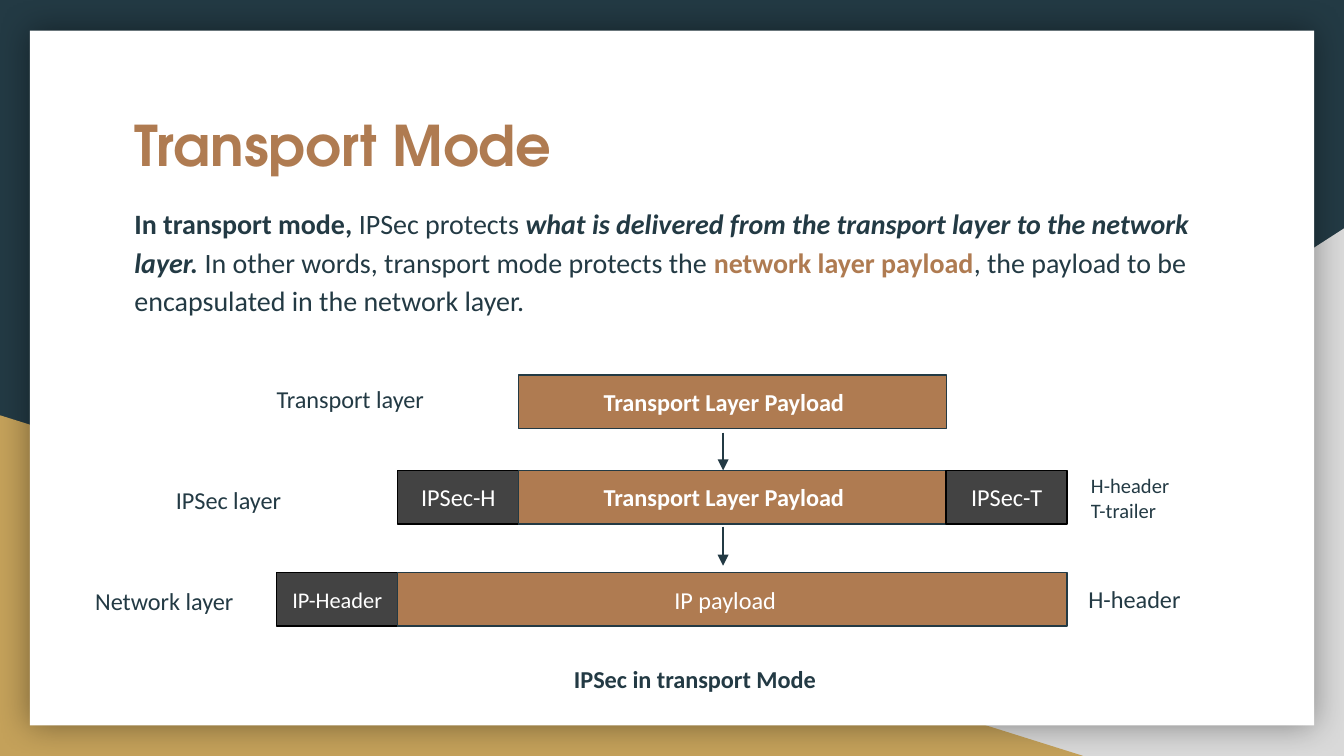
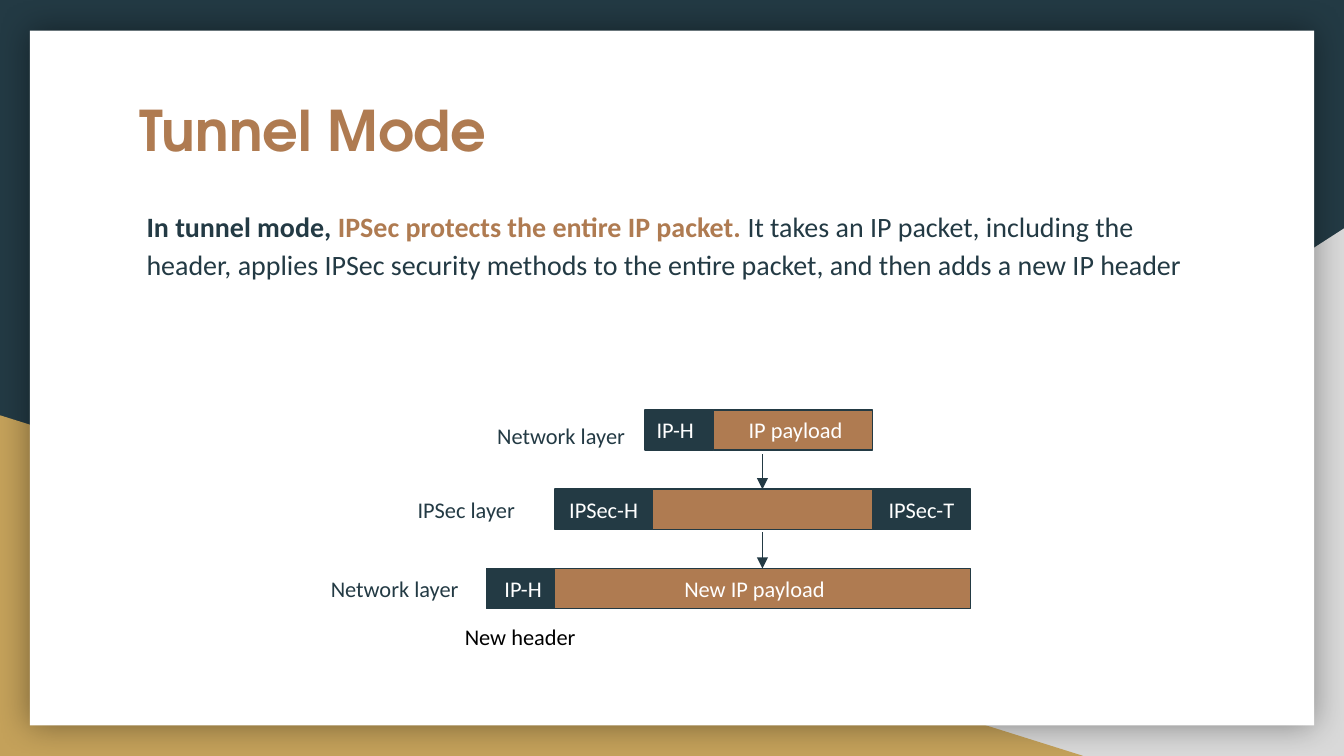
from lxml import etree
from pptx import Presentation
from pptx.dml.color import RGBColor
from pptx.enum.shapes import MSO_CONNECTOR, MSO_SHAPE
from pptx.enum.text import MSO_ANCHOR, MSO_AUTO_SIZE, PP_ALIGN
from pptx.oxml import parse_xml
from pptx.oxml.ns import nsdecls, qn
from pptx.util import Pt

RECTANGLE, TRIANGLE = MSO_SHAPE.RECTANGLE, MSO_SHAPE.RIGHT_TRIANGLE
LEFT, CENTER, RIGHT = PP_ALIGN.LEFT, PP_ALIGN.CENTER, PP_ALIGN.RIGHT
TOP, MIDDLE = MSO_ANCHOR.TOP, MSO_ANCHOR.MIDDLE
STRAIGHT = MSO_CONNECTOR.STRAIGHT
FIXED_SIZE = MSO_AUTO_SIZE.NONE

NAVY, BROWN, GOLD = "233A44", "AF7B51", "C4A15A"
SILVER, CHARCOAL, BLACK, WHITE = "D9D9D9", "434343", "000000", "FFFFFF"
TITLE_FONT, TEXT_FONT = "TeX Gyre Adventor", "Calibri"
INSET = 7.2

BACKDROP = [
    (TRIANGLE, (282.2, 122.4, 437.8, 282.6), SILVER),
    (TRIANGLE, (0, 222.5, 580.3, 182.5), GOLD),
    (RECTANGLE, (16, 16.4, 688, 372.2), WHITE),
]

BAR_STYLES = {
    "transport": (BROWN, NAVY, 13, True),
    "payload": (BROWN, NAVY, 13, False),
    "header": (CHARCOAL, BLACK, 13, False),
    "ip header": (CHARCOAL, BLACK, 12, False),
    "tunnel payload": (BROWN, NAVY, 12, False),
    "tunnel header": (NAVY, NAVY, 12, False),
}

SLIDES = [
    {
        "title": ("Transport Mode", (64.8, 39.6, 591, 75), MIDDLE),
        "body_box": (64.8, 100.8, 591, 79),
        "body": [
            ("In transport mode,", {"bold": True}),
            (" IPSec protects ", {}),
            ("what is delivered from the transport layer to the network layer.",
             {"bold": True, "italic": True}),
            (" In other words, transport mode protects the ", {}),
            ("network layer payload", {"bold": True, "color": BROWN}),
            (", the payload to be encapsulated in the network layer.", {}),
        ],
        "bar_height": 28.8,
        "rows": [
            (277.9, 200.9, [("Transport Layer Payload", 229, "transport", -4.7)]),
            (213.1, 252, [("IPSec-H", 64.8, "header", 0),
                          ("Transport Layer Payload", 229, "transport", -4.7),
                          ("IPSec-T", 64.8, "header", 0)]),
            (148.3, 306.7, [("IP-Header", 64.8, "ip header", 0),
                            ("IP payload", 358.6, "payload", -4)]),
        ],
        "arrows": [(387.4, 231.8, 252, None), (387.4, 282.2, 303.1, None)],
        "label_anchor": TOP,
        "labels": [
            (["Transport layer"], (141.1, 198.7, 100, 30.2), 13, NAVY, LEFT, False),
            (["IPSec layer"], (87.1, 252.7, 100, 30.2), 13, NAVY, LEFT, False),
            (["Network layer"], (43.9, 306.7, 100, 30.2), 13, NAVY, LEFT, False),
            (["H-header", "T-trailer"], (577.4, 246.2, 130, 41), 11, NAVY, LEFT, False),
            (["H-header"], (576, 306, 132, 30.2), 13, NAVY, LEFT, False),
            (["IPSec in transport Mode"], (173.5, 348.5, 397.4, 30.2), 13, NAVY, CENTER, True),
        ],
    },
    {
        "title": ("Tunnel Mode", (67.7, 43.9, 591, 75), TOP),
        "body_box": (71.3, 102.2, 591, 59.8),
        "body": [
            ("In tunnel mode, ", {"bold": True}),
            ("IPSec protects the entire IP packet.", {"bold": True, "color": BROWN}),
            (" It takes an IP packet, including the header, applies IPSec security methods"
             " to the entire packet, and then adds a new IP header", {}),
        ],
        "bar_height": 21.6,
        "rows": [
            (345.6, 219.6, [("IP-H", 36.7, "tunnel header", -2.2),
                            ("IP payload", 85, "tunnel payload", 1.4)]),
            (297.3, 262.1, [("IPSec-H", 52.2, "tunnel header", 0),
                            ("", 118, "tunnel payload", 0),
                            ("IPSec-T", 52.3, "tunnel header", 0)]),
            (260.5, 304.6, [("IP-H", 36.7, "tunnel header", 1.4),
                            ("New IP payload", 222.6, "tunnel payload", -4.3)]),
        ],
        "arrows": [(408.5, 243.4, 262.1, (1, 1)), (408.5, 285.1, 304.6, (2, 1))],
        "label_anchor": MIDDLE,
        "labels": [
            (["Network layer"], (257, 218.9, 85, 28.8), 12, NAVY, RIGHT, False),
            (["IPSec layer"], (198, 258.5, 85, 28.8), 12, NAVY, RIGHT, False),
            (["Network layer"], (167.8, 301, 85, 28.8), 12, NAVY, RIGHT, False),
            (["New header"], (236.2, 330.5, 85, 21.6), 12, BLACK, CENTER, False),
        ],
    },
]


def color(value):
    return RGBColor.from_string(value)


def points(box):
    return [Pt(value) for value in box]


def style_font(font, name, size, value, bold=False):
    font.name, font.size, font.bold = name, Pt(size), bold
    font.color.rgb = color(value)


def set_frame(frame, anchor, horizontal=(INSET, INSET), vertical=INSET):
    frame.word_wrap = True
    frame.auto_size = FIXED_SIZE
    frame.vertical_anchor = anchor
    frame.margin_left, frame.margin_right = points(horizontal)
    frame.margin_top = frame.margin_bottom = Pt(vertical)


def add_filled_shape(slide, kind, box, fill, line=None):
    shape = slide.shapes.add_shape(kind, *points(box))
    shape.shadow.inherit = False
    shape.fill.solid()
    shape.fill.fore_color.rgb = color(fill)
    if line:
        shape.line.color.rgb = color(line)
        shape.line.width = Pt(0.75)
    else:
        shape.line.fill.background()
    return shape


def build_backdrop(presentation, slide):
    master = presentation.slide_master
    master.background.fill.solid()
    master.background.fill.fore_color.rgb = color(NAVY)
    shapes = [add_filled_shape(slide, *part) for part in BACKDROP]
    shapes[0].element.spPr.find(qn("a:xfrm")).set("flipH", "1")
    effects = shapes[-1].element.spPr.find(qn("a:effectLst"))
    effects.append(parse_xml(
        f'<a:outerShdw {nsdecls("a")} blurRad="{Pt(18)}" dist="0" dir="0" rotWithShape="0">'
        f'<a:srgbClr val="{BLACK}"><a:alpha val="40000"/></a:srgbClr></a:outerShdw>'))
    for position, shape in enumerate(shapes, start=2):
        master.shapes.element.insert(position, shape.element)


def place(placeholder, box):
    placeholder.left, placeholder.top, placeholder.width, placeholder.height = points(box)


def write_title(slide, text, box, anchor):
    title = slide.shapes.title
    place(title, box)
    set_frame(title.text_frame, anchor)
    paragraph = title.text_frame.paragraphs[0]
    paragraph.text = text
    paragraph.alignment = LEFT
    style_font(paragraph.font, TITLE_FONT, 30, BROWN, True)


def write_body(slide, box, runs):
    body = slide.placeholders[1]
    place(body, box)
    set_frame(body.text_frame, TOP)
    paragraph = body.text_frame.paragraphs[0]
    properties = paragraph._p.get_or_add_pPr()
    properties.set("marL", "0")
    properties.set("indent", "0")
    etree.SubElement(properties, qn("a:buNone"))
    paragraph.line_spacing = 1.15
    paragraph.space_before, paragraph.space_after = Pt(0), Pt(12)
    style_font(paragraph.font, TEXT_FONT, 15, NAVY)
    for text, look in runs:
        run = paragraph.add_run()
        run.text = text
        run.font.bold = look.get("bold", False)
        run.font.italic = look.get("italic", False)
        run.font.color.rgb = color(look.get("color", NAVY))


def add_bar(slide, box, text, style, shift):
    fill, line, size, bold = BAR_STYLES[style]
    bar = add_filled_shape(slide, RECTANGLE, box, fill, line)
    if text:
        set_frame(bar.text_frame, MIDDLE, (max(2 * shift, 0), max(-2 * shift, 0)), 0)
        paragraph = bar.text_frame.paragraphs[0]
        paragraph.text = text
        paragraph.alignment = CENTER
        style_font(paragraph.font, TEXT_FONT, size, WHITE, bold)
    return bar


def add_rows(slide, rows, height):
    bars = {}
    for row, (left, top, segments) in enumerate(rows):
        for column, (text, width, style, shift) in enumerate(segments):
            box = (left, top, width, height)
            bars[row, column] = add_bar(slide, box, text, style, shift)
            left += width
    return bars


def add_arrow(slide, x, top, bottom, target):
    arrow = slide.shapes.add_connector(STRAIGHT, *points((x, top, x, bottom)))
    if target:
        arrow.end_connect(target, 0)
    arrow.line.color.rgb = color(NAVY)
    arrow.line.width = Pt(0.75)
    properties = arrow.element.spPr
    etree.SubElement(properties.find(qn("a:ln")), qn("a:tailEnd"), type="triangle")
    etree.SubElement(properties, qn("a:effectLst"))


def add_label(slide, lines, box, size, value, alignment, bold, anchor):
    frame = slide.shapes.add_textbox(*points(box)).text_frame
    set_frame(frame, anchor)
    frame.text = "\n".join(lines)
    for paragraph in frame.paragraphs:
        paragraph.alignment = alignment
        style_font(paragraph.font, TEXT_FONT, size, value, bold)


def main():
    presentation = Presentation()
    presentation.slide_width, presentation.slide_height = Pt(720), Pt(405)
    for number, content in enumerate(SLIDES):
        slide = presentation.slides.add_slide(presentation.slide_layouts[1])
        if number == 0:
            build_backdrop(presentation, slide)
        write_title(slide, *content["title"])
        write_body(slide, content["body_box"], content["body"])
        bars = add_rows(slide, content["rows"], content["bar_height"])
        for label in content["labels"]:
            add_label(slide, *label, content["label_anchor"])
        for x, top, bottom, target in content["arrows"]:
            add_arrow(slide, x, top, bottom, bars.get(target))
    presentation.save("out.pptx")


if __name__ == "__main__":
    main()
